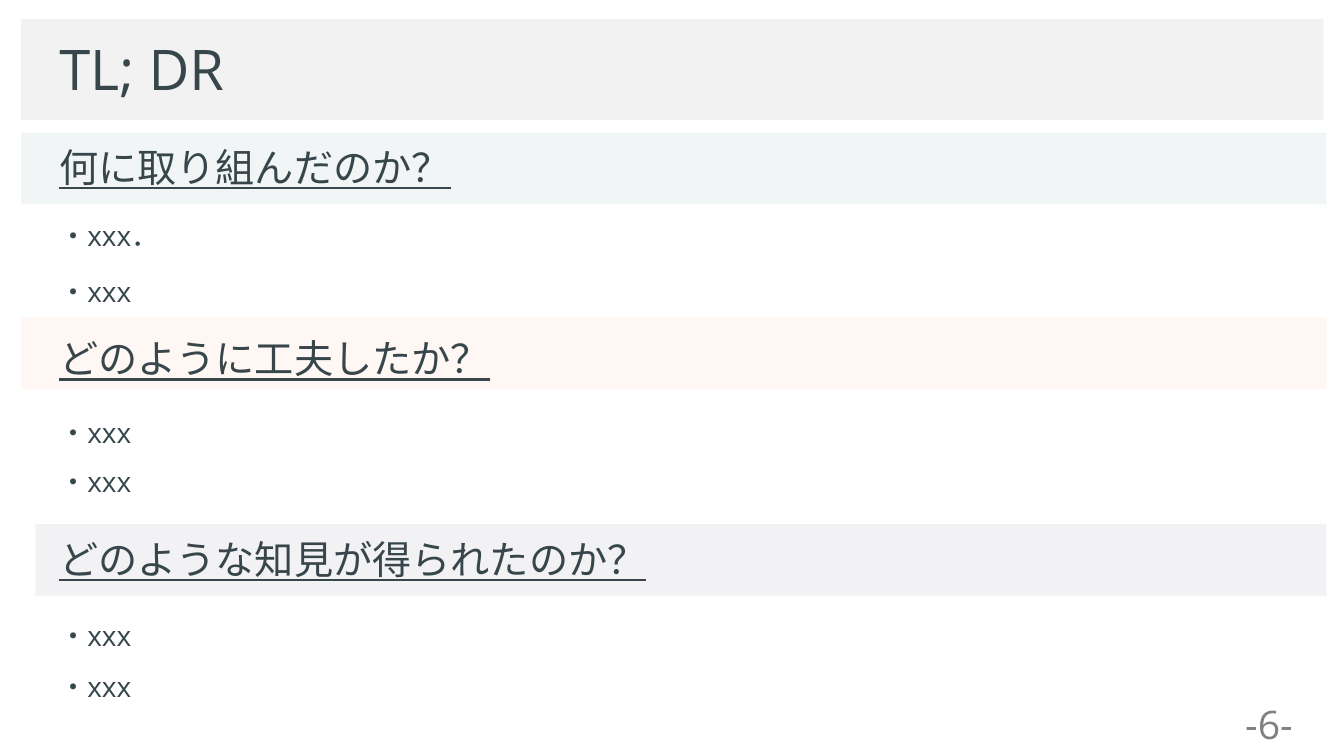
from dataclasses import dataclass

from lxml.etree import SubElement
from pptx import Presentation
from pptx.dml.color import RGBColor
from pptx.enum.shapes import MSO_SHAPE
from pptx.enum.text import MSO_AUTO_SIZE, PP_ALIGN
from pptx.oxml.ns import qn
from pptx.util import Pt

FONT = "Open Sans"
INK = "37464B"
TEXT_LEFT = 35.3
RIGHT_EDGE = 947.5


@dataclass
class Section:
    """One question with its tinted band and its answers."""

    question: str
    answers: tuple
    left: float
    top: float
    tint: str
    opacity: int
    question_offset: float
    answer_offset: float
    answer_step: float


SECTIONS = [
    Section("何に取り組んだのか？", ("・xxx．", "・xxx"),
            15.1, 95, "E6EEF0", 55, 3.6, 57.6, 39.6),
    Section("どのように工夫したか？", ("・xxx", "・xxx"),
            15.1, 226.8, "FFEEE4", 44, 8.6, 66.2, 35.3),
    Section("どのような知見が得られたのか？", ("・xxx", "・xxx"),
            25.2, 374.4, "D4D3DD", 30, 4.3, 64.1, 36),
]


def color(value):
    """Turn a hex string into a colour."""
    return RGBColor.from_string(value)


def add_band(slide, left, top, width, height, tint, opacity=100):
    """Draw a borderless tinted rectangle."""
    band = slide.shapes.add_shape(
        MSO_SHAPE.RECTANGLE, Pt(left), Pt(top), Pt(width), Pt(height))
    band.shadow.inherit = False
    band.line.fill.background()
    band.fill.solid()
    band.fill.fore_color.rgb = color(tint)
    if opacity < 100:
        tint_xml = band.fill._xPr.find(qn("a:solidFill"))[0]
        SubElement(tint_xml, qn("a:alpha"), val=str(opacity * 1000))


def add_line(slide, left, top, width, height, text, size, ink=INK,
             underline=None, align=None, auto_size=MSO_AUTO_SIZE.SHAPE_TO_FIT_TEXT):
    """Write one paragraph in a box."""
    frame = slide.shapes.add_textbox(
        Pt(left), Pt(top), Pt(width), Pt(height)).text_frame
    frame.word_wrap = True
    frame.auto_size = auto_size
    paragraph = frame.paragraphs[0]
    paragraph.text = text
    paragraph.alignment = align
    paragraph.font.name = FONT
    paragraph.font.size = Pt(size)
    paragraph.font.underline = underline
    paragraph.font.color.rgb = color(ink)


def add_header(slide, left, top, width, height):
    """Place the title on its grey bar."""
    add_band(slide, left, top, width, height, "F2F2F2")
    add_line(slide, TEXT_LEFT, top + 7.2, 561.6, 55.4, "TL; DR", 40)


def add_section(slide, section):
    """Place a question on its band with the answers below."""
    add_band(slide, section.left, section.top, RIGHT_EDGE - section.left, 51.1,
             section.tint, section.opacity)
    width = RIGHT_EDGE - TEXT_LEFT
    add_line(slide, TEXT_LEFT, section.top + section.question_offset, width, 41,
             section.question, 28, underline=True)
    for index, answer in enumerate(section.answers):
        top = section.top + section.answer_offset + index * section.answer_step
        add_line(slide, TEXT_LEFT, top, width, 31.7, answer, 20)


def add_page_number(slide, left, top, width, height):
    """Write the page number in the corner."""
    add_line(slide, left, top, width, height, "-6-", 28, ink="808080",
             align=PP_ALIGN.CENTER, auto_size=MSO_AUTO_SIZE.NONE)


def main():
    """Build and save the summary slide."""
    deck = Presentation()
    deck.slide_width, deck.slide_height = Pt(960), Pt(540)
    slide = deck.slides.add_slide(deck.slide_layouts[6])
    add_header(slide, 15.1, 13.7, 930.2, 72)
    for section in SECTIONS:
        add_section(slide, section)
    add_page_number(slide, 865.4, 496.8, 82.1, 31.7)
    deck.save("out.pptx")


if __name__ == "__main__":
    main()
